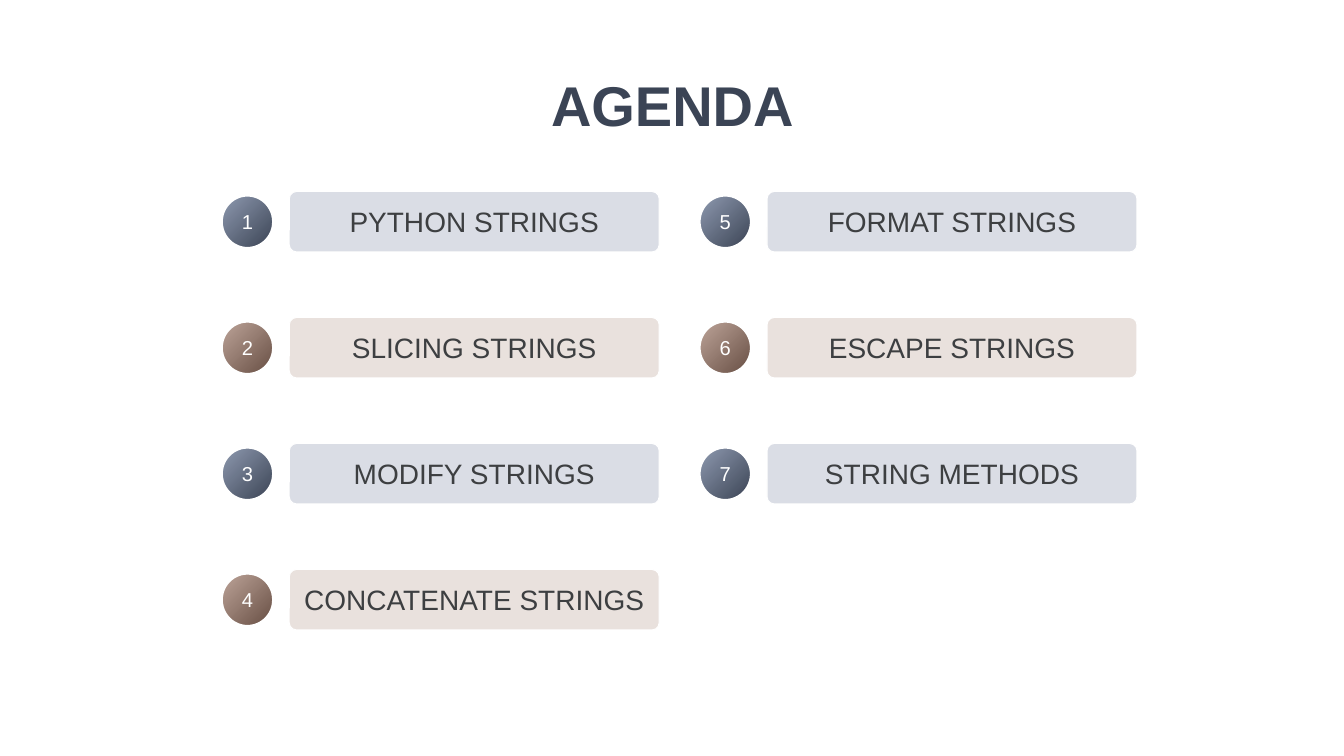
"""Build the agenda slide with two columns of numbered topics."""
from pptx import Presentation
from pptx.dml.color import RGBColor
from pptx.enum.shapes import MSO_SHAPE
from pptx.enum.text import MSO_ANCHOR, PP_ALIGN
from pptx.util import Pt

TITLE = "AGENDA"
TOPICS = [
    "PYTHON STRINGS", "SLICING STRINGS", "MODIFY STRINGS",
    "CONCATENATE STRINGS", "FORMAT STRINGS", "ESCAPE STRINGS",
    "STRING METHODS",
]
THEMES = [
    {"stops": ("8F9AB0", "3B4455"), "bar": "DADDE5"},
    {"stops": ("BDA499", "684F44"), "bar": "E9E1DD"},
]
HEAD = {"size": Pt(40), "bold": True}
DIGIT = {"size": Pt(14.4)}
LABEL = {"size": Pt(20)}
FLAT = {f"margin_{side}": 0 for side in ("left", "top", "right", "bottom")}

ROWS = 4
LEFT, TOP = 158.4, 136.8
COL_STEP, ROW_STEP = 341.28, 90
BALL_W, BALL_H = 36.72, 37.44
BAR_W, BAR_H, BAR_DX = 264.24, 43.2, 48.24


def color(text):
    return RGBColor.from_string(text)


def apply(target, values):
    for name, value in values.items():
        setattr(target, name, value)


def write(shape, text, tint, style, margins={}):
    frame = shape.text_frame
    apply(frame, {"word_wrap": True, "vertical_anchor": MSO_ANCHOR.MIDDLE, **margins})
    para = frame.paragraphs[0]
    para.alignment = PP_ALIGN.CENTER
    run = para.add_run()
    run.text = text
    apply(run.font, {"name": "Arial", **style})
    run.font.color.rgb = color(tint)


def draw(group, kind, box, weight):
    shape = group.shapes.add_shape(kind, *map(Pt, box))
    shape.shadow.inherit = False
    shape.line.color.rgb = color("FFFFFF")
    shape.line.width = Pt(weight)
    return shape


def add_topic(slide, index, topic):
    col, row = divmod(index, ROWS)
    theme = THEMES[row % len(THEMES)]
    x, y = LEFT + col * COL_STEP, TOP + row * ROW_STEP
    group = slide.shapes.add_group_shape()

    ball_y = y + (BAR_H - BALL_H) / 2
    ball = draw(group, MSO_SHAPE.OVAL, (x, ball_y, BALL_W, BALL_H), 1.5)
    ball.fill.gradient()
    ball.fill.gradient_angle = 315
    for place, (stop, tint) in enumerate(zip(ball.fill.gradient_stops, theme["stops"])):
        stop.position = place
        stop.color.rgb = color(tint)
    write(ball, str(index + 1), "FFFFFF", DIGIT)

    bar = draw(group, MSO_SHAPE.ROUNDED_RECTANGLE, (x + BAR_DX, y, BAR_W, BAR_H), 0.75)
    bar.adjustments[0] = 0.12
    bar.fill.solid()
    bar.fill.fore_color.rgb = color(theme["bar"])
    write(bar, topic, "3D3F41", LABEL, FLAT)


def main():
    deck = Presentation()
    apply(deck, {"slide_width": Pt(960), "slide_height": Pt(540)})
    slide = deck.slides.add_slide(deck.slide_layouts[6])
    title = slide.shapes.add_textbox(*map(Pt, (256.32, 38.16, 447.84, 72)))
    write(title, TITLE, "3B4455", HEAD)
    for index, topic in enumerate(TOPICS):
        add_topic(slide, index, topic)
    deck.save("out.pptx")


if __name__ == "__main__":
    main()
